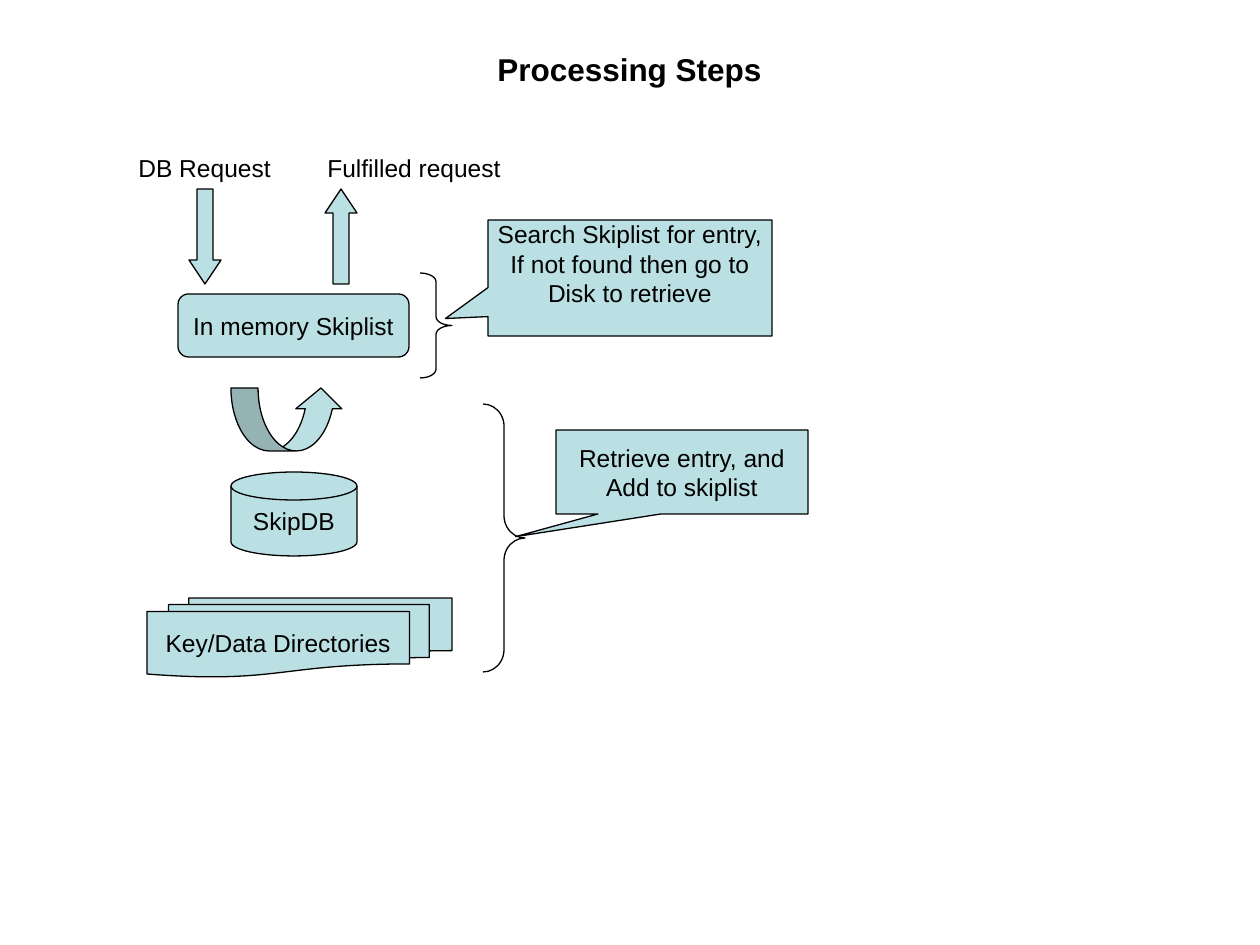
from pptx import Presentation
from pptx import util as u
from pptx.dml.color import RGBColor
from pptx.enum import shapes, text

EMU_PER_PX = 914400 / 126
COLORS = {"ink": "000000", "fill": "BBE0E3"}
FONT = "Arial"
KIND = shapes.MSO_SHAPE


def px(length):
    return u.Emu(round(length * EMU_PER_PX))


def color(name):
    return RGBColor.from_string(COLORS[name])


def write(frame, lines, size=14, bold=False, align=text.PP_ALIGN.CENTER):
    frame.text = "\n".join(lines)
    for paragraph in frame.paragraphs:
        paragraph.alignment = align
        paragraph.font.name = FONT
        paragraph.font.size = u.Pt(size)
        paragraph.font.bold = bold
        paragraph.font.color.rgb = color("ink")


def add_title(slide, wording):
    title = slide.shapes.title
    title.left, title.top, title.width, title.height = map(px, (89, 42, 1081, 53))
    write(title.text_frame, [wording], size=18, bold=True)
    title.text_frame.vertical_anchor = text.MSO_ANCHOR.MIDDLE


def add_outline(slide, kind, box, adjust=()):
    """Add an unfilled preset shape with a thin dark line."""
    shape = slide.shapes.add_shape(kind, *map(px, box))
    for index, value in enumerate(adjust):
        shape.adjustments[index] = value
    shape.shadow.inherit = False
    shape.fill.background()
    shape.line.color.rgb = color("ink")
    shape.line.width = u.Pt(0.75)
    return shape


def add_filled(slide, kind, box, lines=(), adjust=()):
    shape = add_outline(slide, kind, box, adjust)
    shape.fill.solid()
    shape.fill.fore_color.rgb = color("fill")
    if lines:
        frame = shape.text_frame
        write(frame, lines)
        frame.word_wrap = False
        frame.vertical_anchor = text.MSO_ANCHOR.MIDDLE
    return shape


def add_brace(slide, left, top, width, height):
    """Add a right brace whose curls each take a twelfth of its height."""
    add_outline(slide, KIND.RIGHT_BRACE, (left, top, width, height),
                [height / 12 / width, 0.5])


def add_label(slide, left, width, wording):
    label = slide.shapes.add_textbox(*map(px, (left, 147, width, 43)))
    label.text_frame.word_wrap = True
    write(label.text_frame, [wording], align=text.PP_ALIGN.LEFT)


def main():
    deck = Presentation()
    deck.slide_width, deck.slide_height = px(1260), px(945)
    slide = deck.slides.add_slide(deck.slide_layouts[5])
    add_title(slide, "Processing Steps")

    add_filled(slide, KIND.FLOWCHART_ALTERNATE_PROCESS, (178, 294, 231, 63),
               ["In memory Skiplist"])
    add_filled(slide, KIND.FLOWCHART_MULTIDOCUMENT, (147, 598, 305, 79),
               ["Key/Data Directories"])
    add_filled(slide, KIND.FLOWCHART_MAGNETIC_DISK, (231, 472, 126, 84), ["SkipDB"])

    add_filled(slide, KIND.DOWN_ARROW, (189, 189, 32, 95), adjust=[0.5, 0.75])
    add_label(slide, 126, 189, "DB Request")
    add_filled(slide, KIND.UP_ARROW, (325, 189, 32, 95), adjust=[0.5, 0.75])
    add_label(slide, 315, 242, "Fulfilled request")

    add_brace(slide, 420, 273, 32, 105)
    search = add_filled(
        slide, KIND.RECTANGULAR_CALLOUT, (488, 220, 284, 116),
        ["Search Skiplist for entry,", "If not found then go to", "Disk to retrieve"],
        [-0.65, 0.35])
    search.text_frame.margin_bottom = px(35)

    add_filled(slide, KIND.CURVED_UP_ARROW, (231, 388, 113, 63),
               adjust=[0.43, 0.73, 0.33])
    add_brace(slide, 483, 404, 42, 268)
    add_filled(slide, KIND.RECTANGULAR_CALLOUT, (556, 430, 252, 84),
               ["Retrieve entry, and", "Add to skiplist"], [-0.66, 0.77])

    deck.save("out.pptx")


if __name__ == "__main__":
    main()
